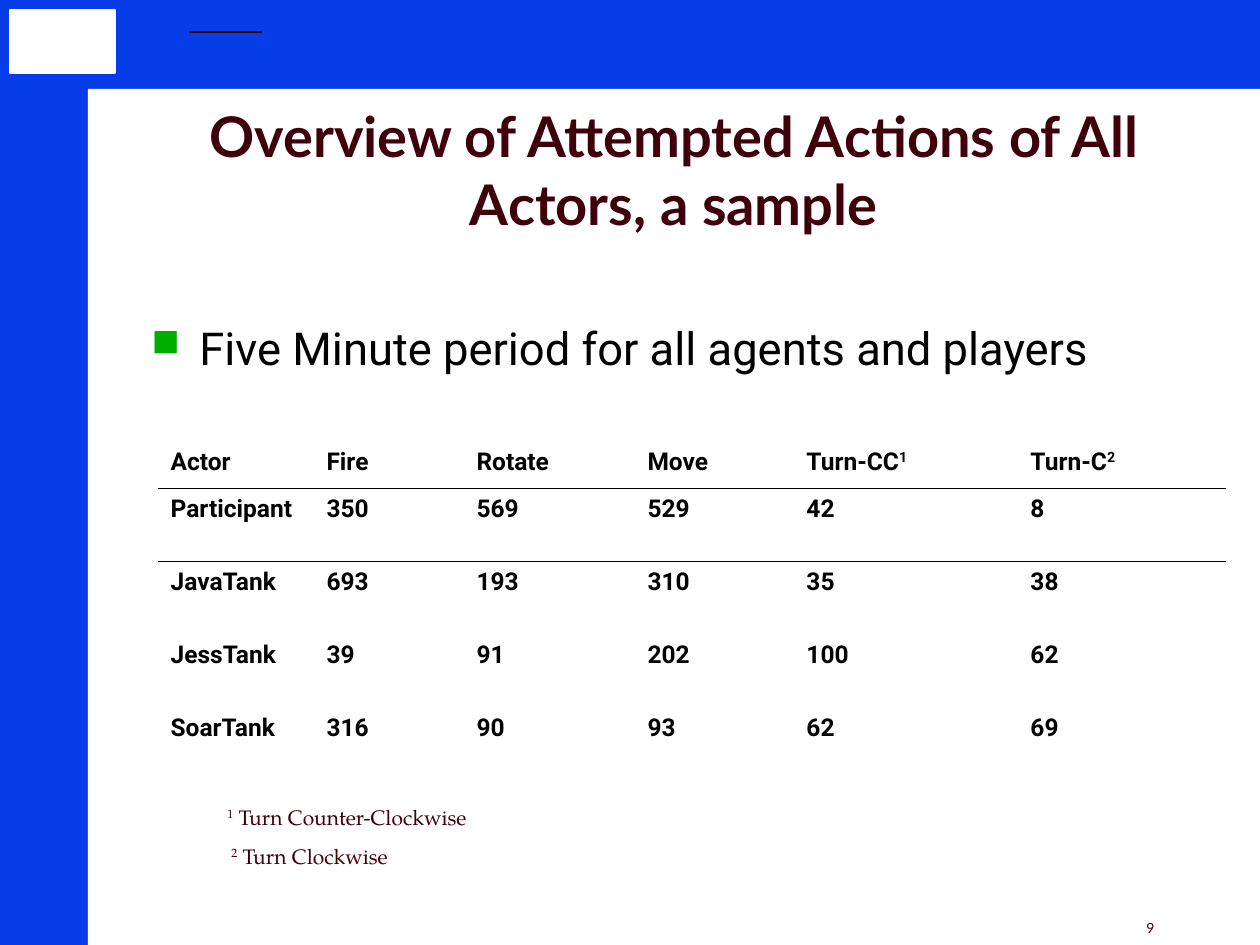
from lxml.etree import SubElement
from pptx import Presentation
from pptx.dml.color import RGBColor
from pptx.enum.shapes import MSO_CONNECTOR, MSO_SHAPE
from pptx.enum.text import MSO_ANCHOR, MSO_AUTO_SIZE, PP_ALIGN
from pptx.oxml import parse_xml
from pptx.oxml.ns import nsdecls, qn
from pptx.util import Pt

# Content: "^" raises the character that follows it
TITLE = "Overview of Attempted Actions of All Actors, a sample"
BULLET = "Five Minute period for all agents and players"
ACTIONS = [
    ("Actor", "Fire", "Rotate", "Move", "Turn-CC^1", "Turn-C^2"),
    ("Participant", "350", "569", "529", "42", "8"),
    ("JavaTank", "693", "193", "310", "35", "38"),
    ("JessTank", "39", "91", "202", "100", "62"),
    ("SoarTank", "316", "90", "93", "62", "69"),
]
FOOTNOTES = [
    ("^1 Turn Counter-Clockwise", (215, 798, 279, 38)),
    ("^2 Turn Clockwise", (219, 837, 192, 38)),
]
PAGE_NUMBER = "9"

# Theme and geometry, in pixels
THEME = {
    "blue": "063DE8", "white": "FFFFFF", "maroon": "3F000B",
    "black": "000000", "green": "00AE00",
    "heading": "Lato", "body": "Roboto", "note": "TeX Gyre Pagella",
    "title_size": 32, "bullet_size": 25.9, "table_size": 14,
    "note_size": 12, "page_size": 8,
}
PIXEL = 914400 // 126
WIDTH, HEIGHT = 1260, 945
COLUMN_WIDTHS = (156, 150, 171, 159, 224, 208)
HEADER_HEIGHT, ROW_HEIGHT = 47, 73
HANGING = 48
PANELS = [
    ("blue", (0, 0, WIDTH, HEIGHT), False),
    ("white", (88, 89, WIDTH - 88, HEIGHT - 89), False),
    ("white", (10, 10, 105, 63), True),
]


def px(*values):
    return [value * PIXEL for value in values]


def colour(name):
    return RGBColor.from_string(THEME[name])


def write(frame, text, *, size, font, color, bold=False, align=PP_ALIGN.LEFT,
          hanging=0, before=0, bullet=None):
    paragraph = frame.paragraphs[0]
    paragraph.alignment = align
    paragraph.space_before = Pt(before)
    properties = paragraph._p.get_or_add_pPr()
    if hanging:
        properties.set("marL", str(hanging * PIXEL))
        properties.set("indent", str(-hanging * PIXEL))
    if bullet:
        bullet_color = SubElement(properties, qn("a:buClr"))
        SubElement(bullet_color, qn("a:srgbClr")).set("val", THEME[bullet])
        SubElement(properties, qn("a:buSzPct")).set("val", "85000")
        SubElement(properties, qn("a:buChar")).set("char", "■")
    plain, *raised = text.split("^")
    pieces = [(plain, False)]
    for piece in raised:
        pieces += [(piece[0], True), (piece[1:], False)]
    for piece, is_raised in pieces:
        if not piece:
            continue
        run = paragraph.add_run()
        run.text = piece
        run.font.size = Pt(THEME[size])
        run.font.name = THEME[font]
        run.font.bold = bold
        run.font.color.rgb = colour(color)
        if is_raised:
            run.font._element.set("baseline", "30000")


def add_text(slide, text, box, wrap=True, **style):
    frame = slide.shapes.add_textbox(*px(*box)).text_frame
    frame.word_wrap = wrap
    write(frame, text, **style)


def add_border(cell, side):
    cell._tc.get_or_add_tcPr().insert(0, parse_xml(
        f'<a:{side} {nsdecls("a")} w="5715"><a:solidFill>'
        f'<a:srgbClr val="{THEME["black"]}"/></a:solidFill></a:{side}>'))


presentation = Presentation()
presentation.slide_width, presentation.slide_height = px(WIDTH, HEIGHT)
slide = presentation.slides.add_slide(presentation.slide_layouts[5])

# Blue frame, white page and corner box
for fill, box, outlined in PANELS:
    panel = slide.shapes.add_shape(MSO_SHAPE.RECTANGLE, *px(*box))
    panel.shadow.inherit = False
    panel.fill.solid()
    panel.fill.fore_color.rgb = colour(fill)
    if outlined:
        panel.line.color.rgb = colour(fill)
        panel.line.width = Pt(1)
    else:
        panel.line.fill.background()

# Page number and short rule in the header
add_text(slide, PAGE_NUMBER, (1134, 913, 71, 32),
         size="page_size", font="heading", color="maroon")
rule = slide.shapes.add_connector(MSO_CONNECTOR.STRAIGHT, *px(189, 32, 262, 32))
rule.line.color.rgb = colour("maroon")
rule.line.width = Pt(1.5)
SubElement(rule._element.spPr, qn("a:effectLst"))

# Title, brought in front of the panels
title = slide.shapes.title
slide.shapes._spTree.append(title._element)
title.left, title.top, title.width, title.height = px(106, 101, 1136, 136)
title.text_frame.auto_size = MSO_AUTO_SIZE.NONE
title.text_frame.word_wrap = True
title.text_frame.vertical_anchor = MSO_ANCHOR.MIDDLE
write(title.text_frame, TITLE, size="title_size", font="heading",
      color="maroon", bold=True, align=PP_ALIGN.CENTER)

# Bullet
add_text(slide, BULLET, (139, 314, 1068, 117), size="bullet_size", font="body",
         color="black", hanging=HANGING, before=7, bullet="green")

# Table of actions, ruled under the header
row_heights = [HEADER_HEIGHT] + [ROW_HEIGHT] * (len(ACTIONS) - 1)
table = slide.shapes.add_table(
    len(ACTIONS), len(COLUMN_WIDTHS),
    *px(158, 441, sum(COLUMN_WIDTHS), sum(row_heights))).table
table.first_row = table.horz_banding = False
table._tbl.tblPr.find(qn("a:tableStyleId")).text = (
    "{2D5ABB26-0587-4C30-8999-92F81FD0307C}")
for column, width in zip(table.columns, COLUMN_WIDTHS):
    column.width = width * PIXEL
for row_index, (row, height) in enumerate(zip(ACTIONS, row_heights)):
    table.rows[row_index].height = height * PIXEL
    for column_index, text in enumerate(row):
        cell = table.cell(row_index, column_index)
        cell.fill.background()
        write(cell.text_frame, text, size="table_size", font="body",
              color="black", bold=True, align=PP_ALIGN.JUSTIFY, hanging=HANGING)
        if row_index < 2:
            add_border(cell, ("lnB", "lnT")[row_index])

# Footnotes
for text, box in FOOTNOTES:
    add_text(slide, text, box, wrap=False,
             size="note_size", font="note", color="maroon")

presentation.save("out.pptx")
